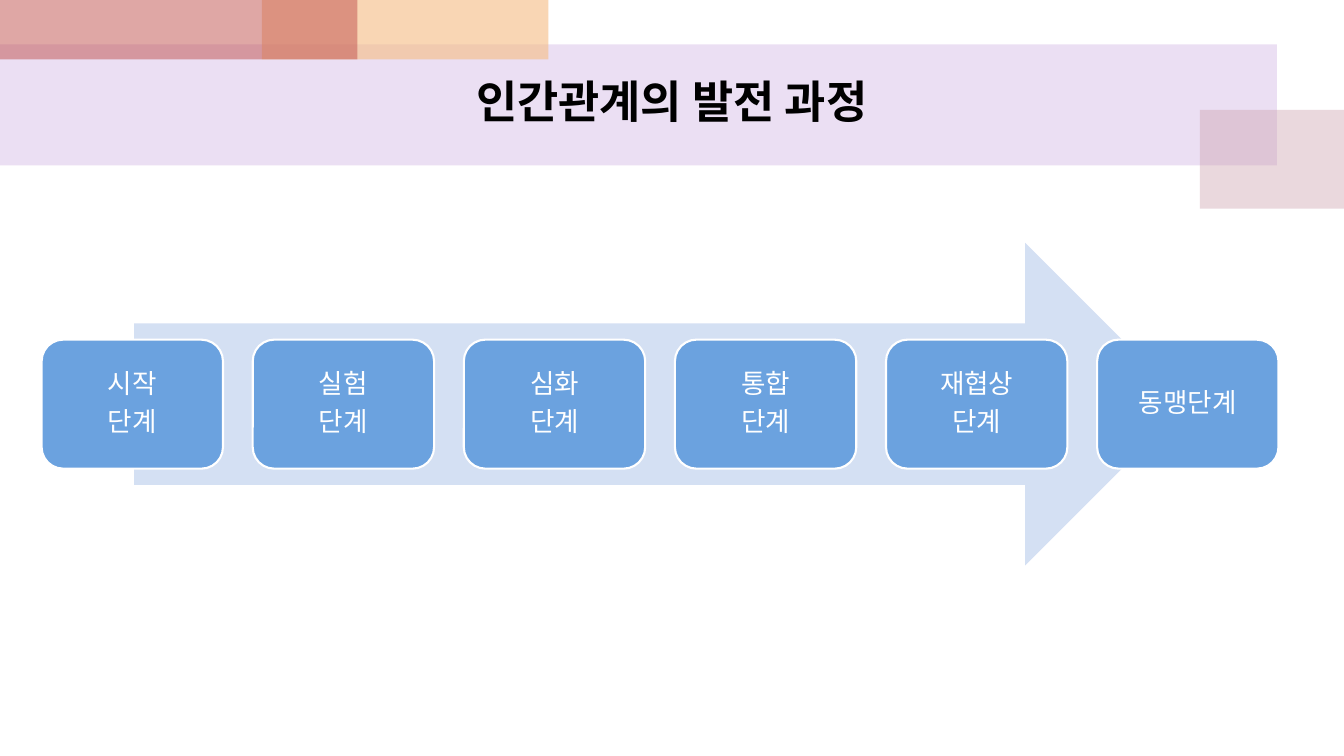
from dataclasses import dataclass

from lxml import etree
from pptx import Presentation
from pptx.dml.color import RGBColor
from pptx.enum.shapes import MSO_SHAPE
from pptx.enum.text import MSO_ANCHOR, MSO_AUTO_SIZE, PP_ALIGN
from pptx.oxml.ns import qn
from pptx.util import Cm, Pt

RECT = MSO_SHAPE.RECTANGLE
ROUND = MSO_SHAPE.ROUNDED_RECTANGLE
ARROW = MSO_SHAPE.RIGHT_ARROW
MIDDLE = MSO_ANCHOR.MIDDLE
CENTER = PP_ALIGN.CENTER
NO_FIT = MSO_AUTO_SIZE.NONE


@dataclass(frozen=True)
class Theme:
    font: str = "Calibri"
    band: str = "BF98D8"
    pink: str = "CC9EAC"
    peach: str = "F5BC83"
    red: str = "C0504D"
    arrow: str = "D4E0F3"
    step: str = "6BA2DF"
    light: str = "FFFFFF"
    dark: str = "000000"
    title_size: int = 32
    step_size: int = 19
    edge: float = 1.5
    leading: float = 0.9
    gap: int = 35


THEME = Theme()

# left, top, width, height in cm, colour, opacity in percent
BARS = [
    (0, 1.12, 32.18, 3.05, THEME.band, 30),
    (30.24, 2.77, 3.63, 2.49, THEME.pink, 40),
    (6.6, 0, 7.22, 1.5, THEME.peach, 60),
    (0, 0, 9.01, 1.5, THEME.red, 50),
]
STEPS = ["시작\n단계", "실험\n단계", "심화\n단계", "통합\n단계", "재협상\n단계", "동맹단계"]
STEP_LEFT, STEP_TOP, STEP_PITCH = 1.05, 8.56, 5.32
STEP_WIDTH, STEP_HEIGHT, STEP_INSET = 4.57, 3.25, 0.36


def add_block(slide, kind, box, color):
    """Add a plain filled shape; box is left, top, width, height in cm."""
    shape = slide.shapes.add_shape(kind, *map(Cm, box))
    shape.shadow.inherit = False
    shape.fill.solid()
    shape.fill.fore_color.rgb = RGBColor.from_string(color)
    shape.line.fill.background()
    return shape


def add_bar(slide, box, color, alpha):
    bar = add_block(slide, RECT, box, color)
    tint = next(bar.fill._xPr.iter(qn("a:srgbClr")))
    etree.SubElement(tint, qn("a:alpha"), val=str(alpha * 1000))


def set_gap(para, percent):
    """Set the space after a paragraph as a share of its line."""
    after = etree.SubElement(para._p.get_or_add_pPr(), qn("a:spcAft"))
    etree.SubElement(after, qn("a:spcPct"), val=str(percent * 1000))


def style_text(frame, size, color, bold=False):
    frame.word_wrap = True
    frame.auto_size = NO_FIT
    frame.vertical_anchor = MIDDLE
    for para in frame.paragraphs:
        para.alignment = CENTER
        para.line_spacing = THEME.leading
        for run in para.runs:
            font = run.font
            font.name = THEME.font
            font.size = Pt(size)
            font.bold = bold
            font.color.rgb = RGBColor.from_string(color)


def set_title(slide, text):
    title = slide.shapes.title
    title.left, title.top = Cm(2.33), Cm(0.79)
    title.width, title.height = Cm(29.21), Cm(3.68)
    title.text_frame.text = text
    style_text(title.text_frame, THEME.title_size, THEME.dark, True)
    slide.shapes._spTree.append(title._element)  # in front of the bars


def add_step(slide, index, text):
    left = STEP_LEFT + index * STEP_PITCH
    box = (left, STEP_TOP, STEP_WIDTH, STEP_HEIGHT)
    step = add_block(slide, ROUND, box, THEME.step)
    step.line.color.rgb = RGBColor.from_string(THEME.light)
    step.line.width = Pt(THEME.edge)
    frame = step.text_frame
    frame.margin_left = frame.margin_right = Cm(STEP_INSET)
    frame.margin_top = frame.margin_bottom = Cm(STEP_INSET)
    frame.text = text
    style_text(frame, THEME.step_size, THEME.light)
    for para in frame.paragraphs:
        set_gap(para, THEME.gap)


def main():
    deck = Presentation()
    deck.slide_width, deck.slide_height = Cm(33.87), Cm(19.05)
    slide = deck.slides.add_slide(deck.slide_layouts[5])
    for *box, color, alpha in BARS:
        add_bar(slide, box, color, alpha)
    set_title(slide, "인간관계의 발전 과정")
    add_block(slide, ARROW, (3.38, 6.12, 26.52, 8.13), THEME.arrow)
    for index, text in enumerate(STEPS):
        add_step(slide, index, text)
    deck.save("out.pptx")


if __name__ == "__main__":
    main()
